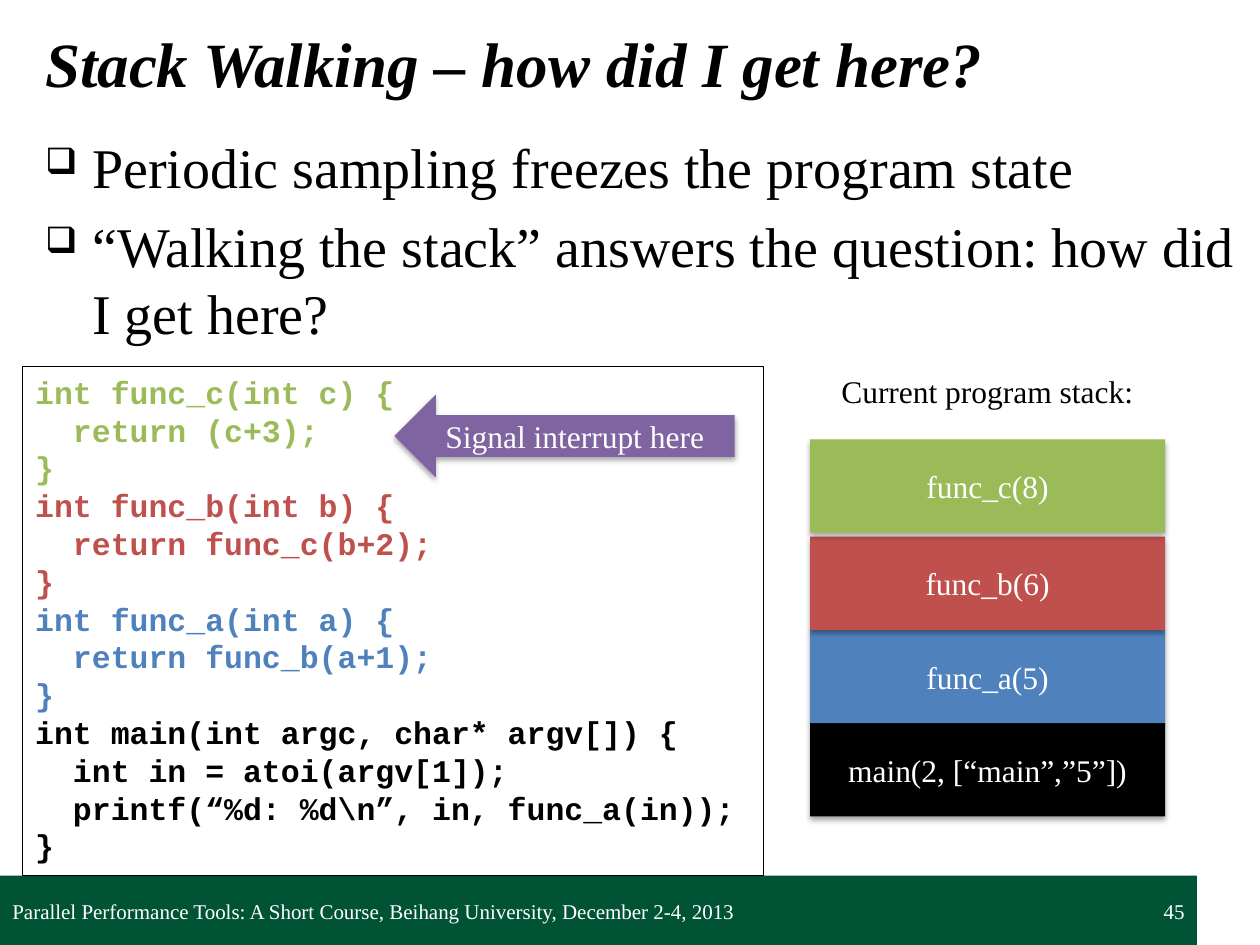
from dataclasses import dataclass, field

import pptx
import pptx.dml.color
import pptx.enum.shapes
import pptx.enum.text
import pptx.oxml
import pptx.oxml.ns
import pptx.util
from pptx.util import Cm

Kind = pptx.enum.shapes.MSO_SHAPE
Side = pptx.enum.text.PP_ALIGN
Anchor = pptx.enum.text.MSO_ANCHOR


@dataclass(frozen=True)
class Theme:
    serif: str = "Times New Roman"
    mono: str = "Courier New"
    black: str = "000000"
    white: str = "FFFFFF"
    bar: str = "005334"
    green: str = "9BBB59"
    red: str = "C0504D"
    blue: str = "4F81BD"
    purple: str = "8064A2"
    title: int = 36
    body: int = 32
    label: int = 18
    foot: int = 12


@dataclass(frozen=True)
class Box:
    """Place and size in centimetres."""
    left: float
    top: float
    width: float
    height: float

    def dims(self) -> list:
        return [Cm(v) for v in (self.left, self.top, self.width, self.height)]


@dataclass(frozen=True)
class Line:
    text: str
    color: str
    size: int
    face: str
    font: dict = field(default_factory=dict)
    para: dict = field(default_factory=dict)


T = Theme()


def apply(item, values: dict) -> None:
    for name, value in values.items():
        setattr(item, name, value)


def rgb(code: str):
    return pptx.dml.color.RGBColor.from_string(code)


def serif(text: str, color: str, size: int, font=None, **para) -> Line:
    return Line(text, color, size, T.serif, font or {}, para)


def write(shape, lines: list, **frame) -> None:
    """Fill the text frame of a shape, one paragraph a line."""
    body = shape.text_frame
    apply(body, {"word_wrap": True, **frame})
    for i, line in enumerate(lines):
        para = body.add_paragraph() if i else body.paragraphs[0]
        apply(para, {"alignment": Side.LEFT, **line.para})
        run = para.add_run()
        run.text = line.text
        apply(run.font, {"name": line.face, "size": pptx.util.Pt(line.size), **line.font})
        run.font.color.rgb = rgb(line.color)


def note(slide, box: Box, lines: list, **frame):
    shape = slide.shapes.add_textbox(*box.dims())
    write(shape, lines, **frame)
    return shape


def block(slide, kind, box: Box, fill: str = ""):
    """Draw a plain shape without line or shadow."""
    shape = slide.shapes.add_shape(kind, *box.dims())
    shape.shadow.inherit = False
    shape.line.fill.background()
    if fill:
        shape.fill.solid()
        shape.fill.fore_color.rgb = rgb(fill)
    else:
        shape.fill.background()
    return shape


def raised(slide, kind, box: Box, fill: str, text: str) -> None:
    """Draw a captioned shape with a soft shadow below it."""
    shape = block(slide, kind, box, fill)
    effect = shape._element.spPr.find(pptx.oxml.ns.qn("a:effectLst"))
    effect.append(pptx.oxml.parse_xml(
        f'<a:outerShdw {pptx.oxml.ns.nsdecls("a")} blurRad="40000" dist="23000" '
        f'dir="5400000" rotWithShape="0"><a:srgbClr val="{T.black}">'
        '<a:alpha val="35000"/></a:srgbClr></a:outerShdw>'))
    write(shape, [serif(text, T.white, T.label, alignment=Side.CENTER)],
          vertical_anchor=Anchor.MIDDLE)


def bullet(para) -> None:
    props = para._p.get_or_add_pPr()
    indent = Cm(0.95)
    props.set("marL", str(indent))
    props.set("indent", str(-indent))
    for tag, key, value in (("buSzPct", "val", "65000"), ("buChar", "char", "❑")):
        mark = pptx.oxml.parse_xml(f'<a:{tag} {pptx.oxml.ns.nsdecls("a")}/>')
        mark.set(key, value)
        props.append(mark)


CODE = (
    (T.green, ("int func_c(int c) {", "  return (c+3);", "}")),
    (T.red, ("int func_b(int b) {", "  return func_c(b+2);", "}")),
    (T.blue, ("int func_a(int a) {", "  return func_b(a+1);", "}")),
    (T.black, ("int main(int argc, char* argv[]) {", "  int in = atoi(argv[1]);",
               "  printf(“%d: %d\\n”, in, func_a(in));", "}")),
)
# Stack frames from the bottom up: top edge, colour, call
STACK = (
    (14.58, T.black, "main(2, [“main”,”5”])"),
    (12.7, T.blue, "func_a(5)"),
    (10.82, T.red, "func_b(6)"),
    (8.86, T.green, "func_c(8)"),
)
POINTS = (
    "Periodic sampling freezes the program state",
    "“Walking the stack” answers the question: how did I get here?",
)


def main() -> None:
    deck = pptx.Presentation()
    apply(deck, {"slide_width": Cm(25.4), "slide_height": Cm(19.05)})
    slide = deck.slides.add_slide(deck.slide_layouts[6])

    # Footer bar
    block(slide, Kind.RECTANGLE, Box(0, 17.65, 24.13, 1.4), T.bar)

    # Title and points
    note(slide, Box(0.66, 0.03, 24.74, 2.44),
         [serif("Stack Walking – how did I get here?", T.black, T.title,
                {"bold": True, "italic": True})], vertical_anchor=Anchor.MIDDLE)
    gap = pptx.util.Pt(7)
    points = note(slide, Box(0.66, 2.54, 24.74, 15.16),
                  [serif(p, T.black, T.body, space_before=gap) for p in POINTS])
    for para in points.text_frame.paragraphs:
        bullet(para)

    # Footer text and page number
    foot = {"vertical_anchor": Anchor.MIDDLE, "margin_top": Cm(0.25),
            "margin_bottom": Cm(0.25)}
    note(slide, Box(0, 17.7, 16.71, 1.35),
         [serif("Parallel Performance Tools: A Short Course, Beihang University, "
                "December 2-4, 2013", T.white, T.foot)], **foot)
    note(slide, Box(18.21, 17.7, 5.92, 1.35),
         [serif("45", T.white, T.foot, alignment=Side.RIGHT)], **foot)

    # Code listing
    code = block(slide, Kind.RECTANGLE, Box(0.46, 7.39, 14.94, 10.26))
    code.line.color.rgb = rgb(T.black)
    code.line.width = pptx.util.Pt(0.75)
    write(code, [Line(text, color, T.label, T.mono, {"bold": True})
                 for color, texts in CODE for text in texts],
          vertical_anchor=Anchor.TOP)
    raised(slide, Kind.LEFT_ARROW, Box(7.95, 7.95, 6.86, 1.68), T.purple,
           "Signal interrupt here")

    # Program stack
    for top, color, call in STACK:
        raised(slide, Kind.RECTANGLE, Box(16.33, top, 7.16, 1.88), color, call)
    note(slide, Box(16.71, 7.37, 6.55, 1.02),
         [serif("Current program stack:", T.black, T.label)], word_wrap=False)

    deck.save("out.pptx")


if __name__ == "__main__":
    main()
